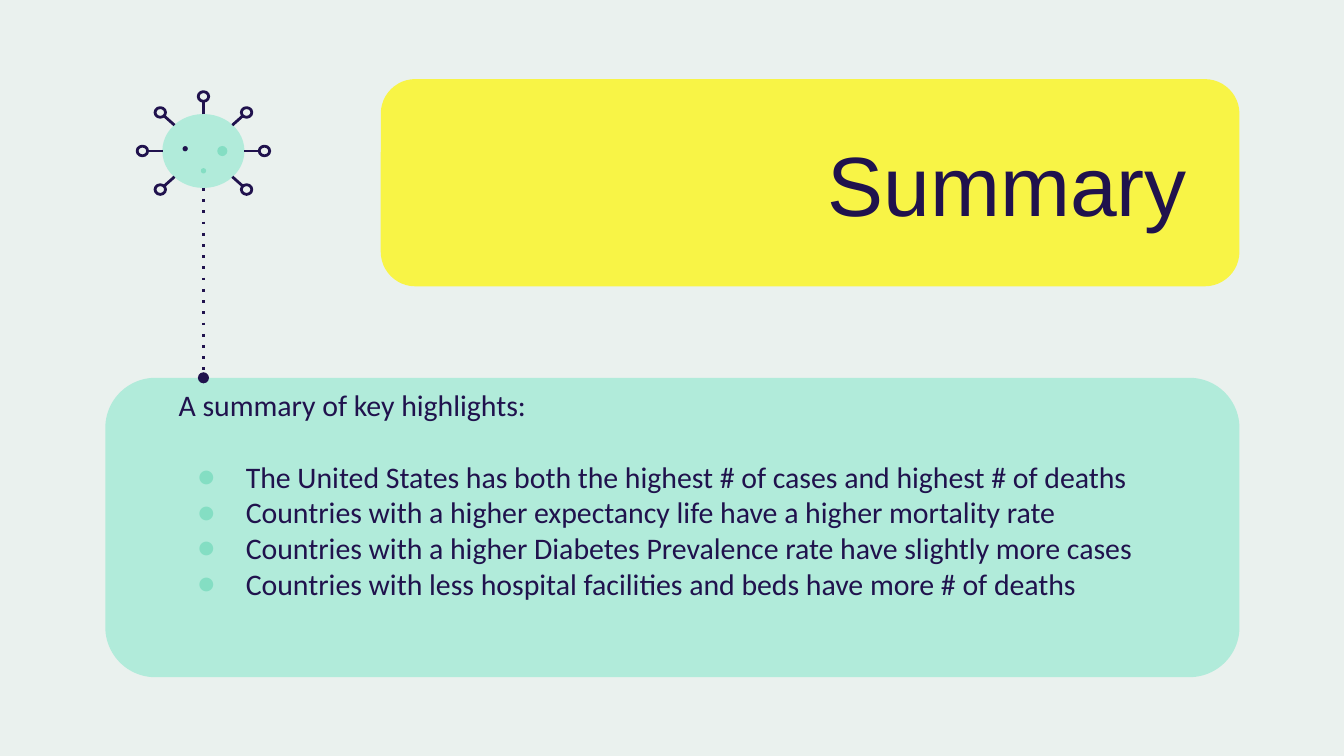
"""Build a summary slide with a title panel, key highlights and a virus drawing."""
from math import cos, radians, sin

from lxml import etree
from pptx import Presentation
from pptx.dml.color import RGBColor
from pptx.enum.shapes import MSO_CONNECTOR, MSO_SHAPE
from pptx.enum.text import MSO_ANCHOR, MSO_AUTO_SIZE, PP_ALIGN
from pptx.oxml.ns import qn
from pptx.util import Pt

OVAL = MSO_SHAPE.OVAL
ROUNDED = MSO_SHAPE.ROUNDED_RECTANGLE
STRAIGHT = MSO_CONNECTOR.STRAIGHT
TOP, MIDDLE = MSO_ANCHOR.TOP, MSO_ANCHOR.MIDDLE
RIGHT = PP_ALIGN.RIGHT
NO_FIT = MSO_AUTO_SIZE.NONE

COLORS = {
    "background": "EAF1EE",
    "mint": "B1EBDA",
    "green": "84DEC3",
    "yellow": "F8F446",
    "navy": "20124D",
}


def color(name):
    """Return the named palette colour."""
    return RGBColor.from_string(COLORS[name])


class SlideBuilder:
    """Hold the slide and the style of its elements."""

    title_font, body_font = "Arial", "Calibri"
    title_size, body_size = 45, 16
    line_pitch = 19.1
    line_width = 1.5

    def __init__(self, prs):
        """Add a title-only slide with a plain background."""
        self.s = prs.slides.add_slide(prs.slide_layouts[5])
        self.s.background.fill.solid()
        self.s.background.fill.fore_color.rgb = color("background")

    def shape(self, kind, x, y, w, h, fill=None):
        """Add a filled shape, or an outlined one when no fill is given."""
        sp = self.s.shapes.add_shape(kind, Pt(x), Pt(y), Pt(w), Pt(h))
        sp.shadow.inherit = False
        if fill:
            sp.fill.solid()
            sp.fill.fore_color.rgb = color(fill)
            sp.line.fill.background()
        else:
            sp.fill.background()
            sp.line.color.rgb = color("navy")
            sp.line.width = Pt(self.line_width)
        return sp

    def panel(self, x, y, w, h, fill):
        """Add a rounded panel."""
        self.shape(ROUNDED, x, y, w, h, fill).adjustments[0] = 0.167

    def circle(self, cx, cy, rx, ry, fill=None):
        """Add an ellipse around a centre."""
        self.shape(OVAL, cx - rx, cy - ry, 2 * rx, 2 * ry, fill)

    def line(self, x1, y1, x2, y2, dotted=False):
        """Add a line, solid or dotted with a round end."""
        sp = self.s.shapes.add_connector(STRAIGHT, Pt(x1), Pt(y1), Pt(x2), Pt(y2))
        sp.line.color.rgb = color("navy")
        sp.line.width = Pt(self.line_width)
        spPr = sp._element.spPr
        if dotted:
            ln = spPr.find(qn("a:ln"))
            etree.SubElement(ln, qn("a:prstDash"), val="dot")
            etree.SubElement(ln, qn("a:tailEnd"), type="oval")
        etree.SubElement(spPr, qn("a:effectLst"))

    def format_run(self, p, font, size):
        """Format the runs of a paragraph."""
        for r in p.runs:
            r.font.name = font
            r.font.size = Pt(size)
            r.font.color.rgb = color("navy")

    def title(self, text, x, y, w, h):
        """Place the title in front of the panels."""
        sp = self.s.shapes.title
        sp.left, sp.top, sp.width, sp.height = Pt(x), Pt(y), Pt(w), Pt(h)
        self.s.shapes._spTree.append(sp._element)
        tf = sp.text_frame
        tf.text = text
        tf.auto_size = NO_FIT
        tf.vertical_anchor = MIDDLE
        tf.margin_top = tf.margin_bottom = Pt(7.2)
        p = tf.paragraphs[0]
        p.alignment = RIGHT
        self.format_run(p, self.title_font, self.title_size)

    def bullet(self, p):
        """Give a paragraph a hanging round bullet."""
        pPr = p._p.get_or_add_pPr()
        pPr.set("marL", str(Pt(36)))
        pPr.set("indent", str(Pt(-25.9)))
        clr = etree.SubElement(pPr, qn("a:buClr"))
        etree.SubElement(clr, qn("a:srgbClr"), val=COLORS["green"])
        etree.SubElement(pPr, qn("a:buFont"), typeface=self.body_font)
        etree.SubElement(pPr, qn("a:buChar"), char="●")

    def highlights(self, intro, items, x, y, w, h):
        """Add an introduction followed by a bulleted list."""
        tf = self.s.shapes.add_textbox(Pt(x), Pt(y), Pt(w), Pt(h)).text_frame
        tf.word_wrap = True
        tf.vertical_anchor = TOP
        tf.margin_top, tf.margin_bottom = Pt(5), 0
        for i, text in enumerate([intro, *items]):
            p = tf.add_paragraph() if i else tf.paragraphs[0]
            p.text = text
            p.line_spacing = Pt(self.line_pitch)
            p.space_before = Pt(self.line_pitch if i == 1 else 0)
            self.format_run(p, self.body_font, self.body_size)
            if i:
                self.bullet(p)

    def virus(self, cx, cy, anchor_y):
        """Draw a spiked virus hanging on a dotted line."""
        body_rx, body_ry = 22, 19.8
        reach_x, reach_y = 32.7, 29.2
        self.circle(cx, cy, body_rx, body_ry, "mint")
        self.line(cx, cy + body_ry, cx, anchor_y, dotted=True)
        for angle in range(0, 360, 45):
            if angle == 90:
                continue
            dx = reach_x * cos(radians(angle))
            dy = reach_y * sin(radians(angle))
            self.line(cx + 0.67 * dx, cy + 0.67 * dy, cx + 0.91 * dx, cy + 0.91 * dy)
            self.circle(cx + dx, cy + dy, 2.8, 2.6)
        for dx, dy, radius, fill in [
            (10.1, 0, 2.7, "green"),
            (-9.8, -1.2, 1.4, "navy"),
            (0, 10.6, 1.4, "green"),
        ]:
            self.circle(cx + dx, cy + dy, radius, radius, fill)


prs = Presentation()
prs.slide_width, prs.slide_height = Pt(720), Pt(405)

slide = SlideBuilder(prs)
slide.panel(56.4, 202.4, 607.6, 160.4, "mint")
slide.panel(204, 42.4, 460, 111, "yellow")
slide.highlights(
    "A summary of key highlights:",
    [
        "The United States has both the highest # of cases and highest # of deaths",
        "Countries with a higher expectancy life have a higher mortality rate",
        "Countries with a higher Diabetes Prevalence rate have slightly more cases",
        "Countries with less hospital facilities and beds have more # of deaths",
    ],
    88.6, 202.4, 541.4, 138.2,
)
slide.title("Summary", 288, 42.4, 355, 111)
slide.virus(109, 80.9, 202.4)

prs.save("out.pptx")
